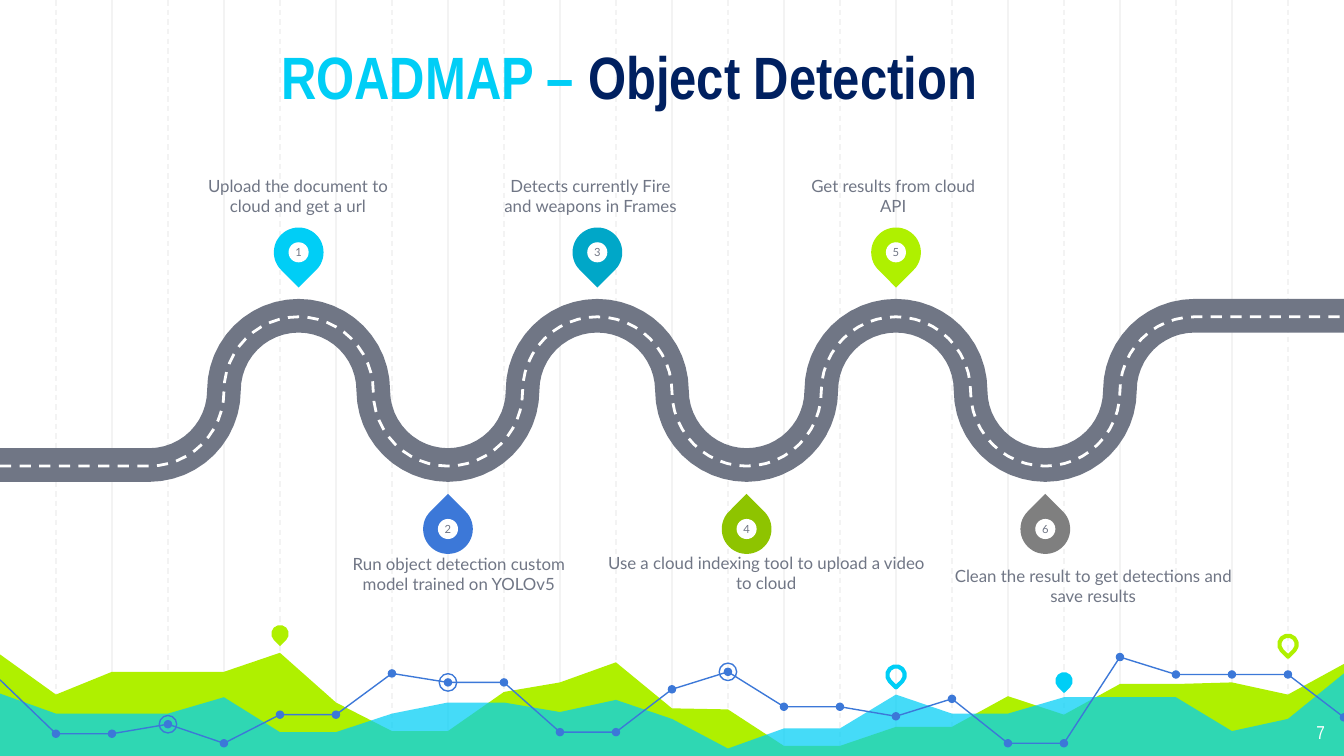
"""Build the object detection roadmap slide."""
from math import cos, pi, sin
from pptx import Presentation
from pptx.dml.color import RGBColor
from pptx.enum.dml import MSO_LINE
from pptx.enum.shapes import MSO_CONNECTOR, MSO_SHAPE
from pptx.enum.text import MSO_ANCHOR, PP_ALIGN
from pptx.oxml.ns import qn
from pptx.util import Cm, Pt
from lxml.etree import SubElement

WIDE, HIGH = 25.4, 14.29
STEP = WIDE / 24
BEND = WIDE / 18
CYAN, LIME, BLUE, GREY, PALE, WHITE = (
    "00CEF6", "AFF000", "3C78D8", "707685", "F3F3F3", "FFFFFF")

TITLE = [("ROADMAP – ", CYAN), ("Object Detection", "002060")]
STOPS = [
    ("Upload the document to cloud and get a url", CYAN, 3.84, 2.62, 3.58),
    ("Run object detection custom model trained on YOLOv5", BLUE, 6.5, 10.46, 4.34),
    ("Detects currently Fire and weapons in Frames", "00A7C8", 9.37, 2.62, 3.58),
    ("Use a cloud indexing tool to upload a video to cloud", "8EC400", 11.43, 10.44, 6.1),
    ("Get results from cloud API", LIME, 15.09, 2.62, 3.58),
    ("Clean the result to get detections and save results", "7F7F7F", 17.98, 10.69, 5.36),
]
HILLS = [12.37, 13.13, 12.7, 12.7, 12.7, 12.34, 13.28, 13.82, 13.82, 13.08,
         12.9, 12.52, 13.39, 13.41, 14.1, 14.1, 13.74, 13.74, 13.16, 13.51,
         12.93, 12.93, 12.9, 13.13, 12.55]
WAVES = [13.11, 13.49, 13.49, 13.49, 13.18, 13.84, 13.84, 13.49, 13.28, 13.28,
         13.46, 13.23, 13.59, 14.15, 13.77, 13.77, 13.13, 13.49, 13.49, 13.18,
         13.18, 13.18, 13.82, 13.59, 12.73]
TREND = [12.85, 13.87, 13.87, 13.69, 14.05, 13.51, 13.51, 12.73, 12.9, 12.9,
         13.84, 13.84, 13.03, 12.7, 13.36, 13.36, 13.54, 13.21, 14.05, 14.05,
         12.42, 12.75, 12.75, 12.75, 13.56]
RINGS = [3, 8, 13]
DROPS = [(5, 11.98, LIME, True), (16, 12.76, CYAN, False),
         (19, 12.87, CYAN, True), (23, 12.18, LIME, False)]


def rgb(code):
    return RGBColor.from_string(code)


def paint(shape, fill=None, line=None, width=0.75):
    shape.shadow.inherit = False
    if fill:
        shape.fill.solid()
        shape.fill.fore_color.rgb = rgb(fill)
    else:
        shape.fill.background()
    if line:
        shape.line.color.rgb = rgb(line)
        shape.line.width = Pt(width)
    else:
        shape.line.fill.background()
    return shape


def outline(points, closed=False):
    spots = [(Cm(x), Cm(y)) for x, y in points]
    path = shapes.build_freeform(*spots[0])
    path.add_line_segments(spots[1:], close=closed)
    return path.convert_to_shape()


def centred(kind, x, y, size, turn=0):
    shape = shapes.add_shape(kind, Cm(x - size / 2), Cm(y - size / 2), Cm(size), Cm(size))
    shape.rotation = turn
    return shape


def write(shape, text, font, size, color, align=PP_ALIGN.CENTER,
          anchor=MSO_ANCHOR.TOP, inset=0):
    frame = shape.text_frame
    frame.word_wrap = True
    frame.vertical_anchor = anchor
    frame.margin_left = frame.margin_right = Cm(inset)
    frame.margin_top = frame.margin_bottom = Cm(inset)
    frame.text = text
    para = frame.paragraphs[0]
    para.alignment = align
    for run in para.runs:
        run.font.name, run.font.size = font, Pt(size)
        run.font.color.rgb = rgb(color)


def textbox(left, top, width, height):
    return shapes.add_textbox(Cm(left), Cm(top), Cm(width), Cm(height))


def rule(col):
    line = shapes.add_connector(
        MSO_CONNECTOR.STRAIGHT, Cm(col * STEP), 0, Cm(col * STEP), Cm(HIGH))
    line.line.color.rgb = rgb(PALE)
    line.line.width = Pt(0.75)
    if col % 2:
        line.line.dash_style = MSO_LINE.DASH
    SubElement(line.element.spPr, qn("a:effectLst"))


def spread(levels):
    return [(col * STEP, y) for col, y in enumerate(levels)]


def area(levels, color):
    return paint(outline(spread(levels) + [(WIDE, HIGH), (0, HIGH)], True), color)


def road(mid):
    points = [(0, mid + BEND)]
    for turn in range(1, 9):
        side = 1 if turn % 2 else -1
        first, last = (12 if turn == 1 else 0), (12 if turn == 8 else 24)
        for part in range(first, last + 1):
            angle = pi * (1 - part / 24)
            points.append((BEND * (2 * turn + cos(angle)), mid + side * BEND * sin(angle)))
    return outline(points + [(WIDE, mid - BEND)])


deck = Presentation()
deck.slide_width, deck.slide_height = Cm(WIDE), Cm(HIGH)
slide = deck.slides.add_slide(deck.slide_layouts[5])
shapes = slide.shapes

for col in range(1, 24):
    rule(col)

area(HILLS, LIME)
sea = area(WAVES, CYAN)
tint = sea.element.spPr.find(qn("a:solidFill"))[0]
SubElement(tint, qn("a:alpha")).set("val", "73000")
for col, y, color, full in DROPS:
    drop = centred(MSO_SHAPE.TEAR, col * STEP, y, 0.33, 135)
    paint(drop, color if full else None, None if full else color, 2.25)

paint(outline(spread(TREND)), None, BLUE)
for x, y in spread(TREND)[1:]:
    paint(centred(MSO_SHAPE.OVAL, x, y, 0.16), BLUE)
for col in RINGS:
    paint(centred(MSO_SHAPE.OVAL, col * STEP, TREND[col], 0.33), None, BLUE)

paint(road(7.38), None, GREY, 18)
paint(road(7.4), None, WHITE, 1.5).line.dash_style = MSO_LINE.DASH

for num, (text, color, left, top, width) in enumerate(STOPS, 1):
    above = num % 2 == 1
    x, y = 2 * BEND * (num + 1), 4.77 if above else 10
    paint(centred(MSO_SHAPE.TEAR, x, y, 0.94, 135 if above else 315), color)
    badge = paint(centred(MSO_SHAPE.OVAL, x, y, 0.38), WHITE)
    write(badge, str(num), "Lato", 6, GREY, anchor=MSO_ANCHOR.MIDDLE)
    write(textbox(left, top, width, 1.47), text, "Lato", 9, GREY,
          anchor=MSO_ANCHOR.BOTTOM if above else MSO_ANCHOR.TOP)

write(textbox(23.77, 13.41, 1.52, 0.88), "7", "Arial Narrow", 10, WHITE,
      PP_ALIGN.RIGHT, inset=0.25)

title = shapes.title
title.left, title.top, title.width, title.height = Cm(2.18), Cm(0.38), Cm(19.43), Cm(1.98)
write(title, "", "Arial Narrow", 32, CYAN, anchor=MSO_ANCHOR.BOTTOM, inset=0.25)
for text, color in TITLE:
    run = title.text_frame.paragraphs[0].add_run()
    run.text = text
    run.font.name, run.font.size, run.font.bold = "Arial Narrow", Pt(32), True
    run.font.color.rgb = rgb(color)
title.element.getparent().append(title.element)

deck.save("out.pptx")
